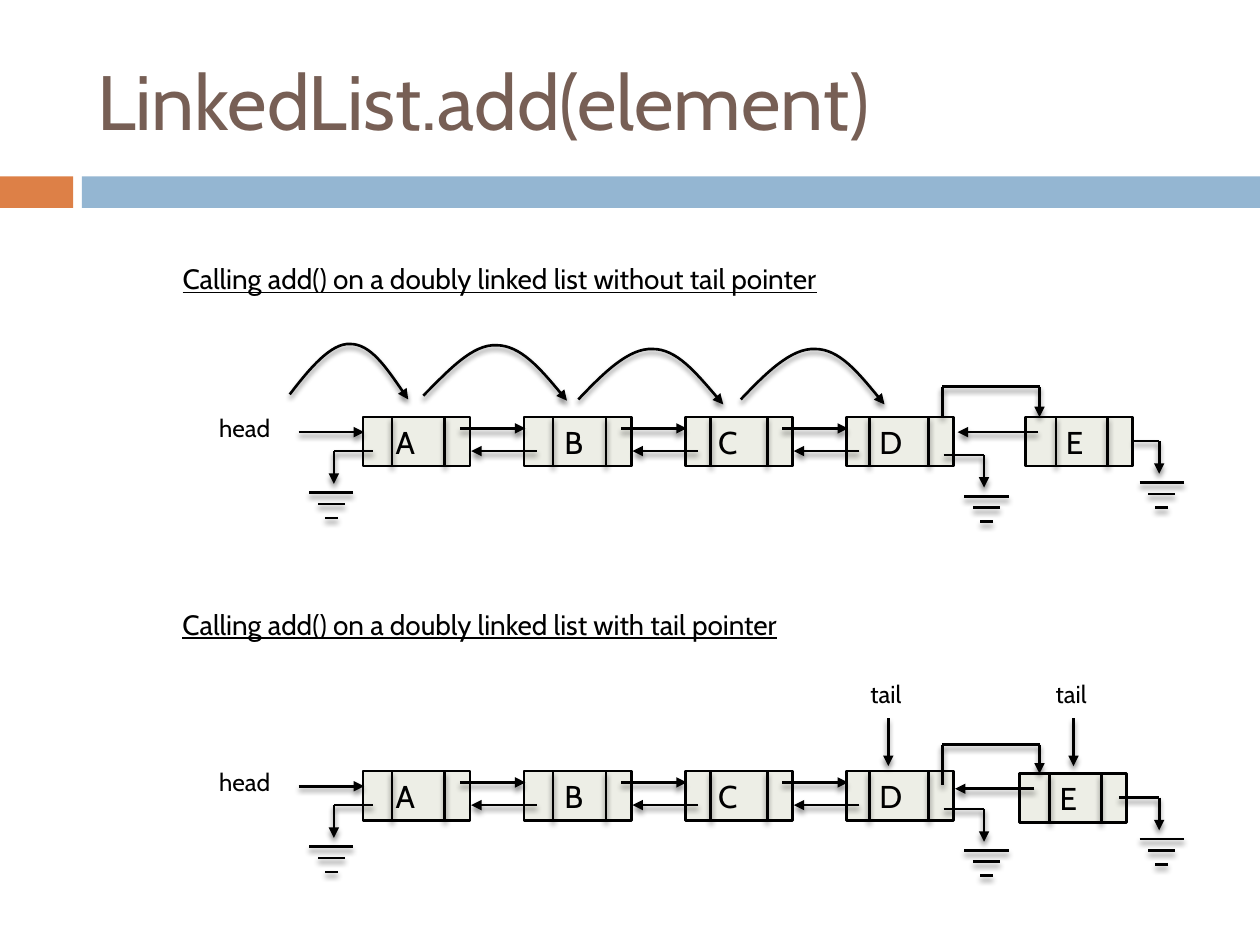
from lxml import etree
from pptx import Presentation
from pptx import util as u
from pptx.dml.color import RGBColor
from pptx.enum import shapes, text
from pptx.oxml.ns import qn

FONT = "Cabin"
BLACK = "000000"
NODE_WIDTH, NODE_HEIGHT = 0.85, 0.39
FIRST_LEFT, NODE_STEP = 2.88, 1.28
# letter, offset of the left divider, indent of the letter
NODES = [("A", 0.23, 0.26), ("B", 0.23, 0.32), ("C", 0.2, 0.26), ("D", 0.18, 0.26)]
HOPS = [
    [(2.3, 3.13), (2.46, 2.92), (2.63, 2.72), (2.78, 2.73), (2.94, 2.73), (3.09, 2.95), (3.24, 3.17)],
    [(3.36, 3.14), (3.56, 2.94), (3.75, 2.73), (3.94, 2.74), (4.13, 2.74), (4.32, 2.96), (4.5, 3.18)],
    [(4.59, 3.17), (4.79, 2.96), (4.99, 2.76), (5.18, 2.77), (5.37, 2.77), (5.55, 2.99), (5.74, 3.21)],
    [(5.88, 3.17), (6.08, 2.96), (6.28, 2.76), (6.47, 2.77), (6.66, 2.77), (6.84, 2.99), (7.02, 3.21)],
]


def colour(value):
    return RGBColor.from_string(value)


def style_stroke(shape, arrow):
    """Black line with a soft shadow below and, if wanted, an arrowhead at its end."""
    shape.line.color.rgb = colour(BLACK)
    shape.line.width = u.Pt(1.5)
    properties = shape._element.spPr
    if arrow:
        etree.SubElement(properties.find(qn("a:ln")), qn("a:tailEnd"), type="triangle")
    effects = etree.SubElement(properties, qn("a:effectLst"))
    shadow = etree.SubElement(effects, qn("a:outerShdw"), blurRad=str(u.Pt(3)),
                              dist=str(u.Pt(2.4)), dir="5400000", rotWithShape="0")
    tint = etree.SubElement(shadow, qn("a:srgbClr"), val=BLACK)
    etree.SubElement(tint, qn("a:alpha"), val="45000")


def add_line(slide, x1, y1, x2, y2, arrow=False):
    line = slide.shapes.add_connector(
        shapes.MSO_CONNECTOR.STRAIGHT, *(u.Inches(v) for v in (x1, y1, x2, y2)))
    style_stroke(line, arrow)


def add_curve(slide, points):
    """Arrow along cubic Bezier pieces: a start, then three points for each piece."""
    builder = slide.shapes.build_freeform(
        u.Inches(points[0][0]), u.Inches(points[0][1]))
    builder.add_line_segments([(u.Inches(x), u.Inches(y)) for x, y in points[1:]], close=False)
    curve = builder.convert_to_shape()
    outline = next(curve._element.iter(qn("a:path")))
    steps = outline.findall(qn("a:lnTo"))
    for start in range(0, len(steps), 3):
        bezier = etree.SubElement(outline, qn("a:cubicBezTo"))
        for step in steps[start:start + 3]:
            bezier.append(step[0])
            outline.remove(step)
    curve.fill.background()
    style_stroke(curve, arrow=True)


def add_rectangle(slide, left, top, width, height, fill):
    box = slide.shapes.add_shape(
        shapes.MSO_SHAPE.RECTANGLE, *(u.Inches(v) for v in (left, top, width, height)))
    box.shadow.inherit = False
    box.fill.solid()
    box.fill.fore_color.rgb = colour(fill)
    box.line.fill.background()
    return box


def write(shape, words, size, ink=BLACK):
    para = shape.text_frame.paragraphs[0]
    para.text = words
    para.alignment = text.PP_ALIGN.LEFT
    para.font.name = FONT
    para.font.size = u.Pt(size)
    para.font.color.rgb = colour(ink)
    return para


def add_label(slide, words, left, top, width, height, size=14):
    box = slide.shapes.add_textbox(*(u.Inches(v) for v in (left, top, width, height)))
    box.text_frame.word_wrap = False
    return write(box, words, size)


def add_node(slide, letter, left, top, divider, indent):
    box = add_rectangle(slide, left, top, NODE_WIDTH, NODE_HEIGHT, "EDEEE6")
    box.line.color.rgb = colour(BLACK)
    box.line.width = u.Pt(1.5)
    box.text_frame.margin_left = u.Inches(indent)
    box.text_frame.margin_right = 0
    box.text_frame.vertical_anchor = text.MSO_ANCHOR.MIDDLE
    write(box, letter, 18)
    for offset in (divider, 0.65):
        add_line(slide, left + offset, top, left + offset, top + NODE_HEIGHT)


def add_ground(slide, start, y, drop, centre):
    """Null pointer: sideways to drop, down, then three shrinking bars."""
    add_line(slide, start, y, drop, y)
    add_line(slide, drop, y, drop, y + 0.26, arrow=True)
    for width, offset in ((0.35, 0.33), (0.21, 0.42), (0.1, 0.53)):
        add_line(slide, centre - width / 2, y + offset, centre + width / 2, y + offset)


def add_list(slide, top):
    """Nodes A to D with their links, the head pointer and the null at both ends."""
    lefts = [FIRST_LEFT + NODE_STEP * i for i in range(len(NODES))]
    for (letter, divider, indent), left in zip(NODES, lefts):
        add_node(slide, letter, left, top, divider, indent)
    for left in lefts[:-1]:
        add_line(slide, left + 0.77, top + 0.09, left + 1.29, top + 0.09, arrow=True)
        add_line(slide, left + 1.38, top + 0.27, left + 0.86, top + 0.27, arrow=True)
    add_label(slide, "head", 1.64, top - 0.08, 0.62, 0.34)
    add_line(slide, 2.37, top + 0.12, 2.89, top + 0.12, arrow=True)
    add_ground(slide, 2.96, top + 0.27, 2.65, 2.63)
    add_ground(slide, 7.49, top + 0.3, 7.81, 7.83)


def add_new_node(slide, left, top, link_start, link_top, null_start, back):
    """Node E, its links with D and its null; back is (from x, to x, y)."""
    add_node(slide, "E", left, top, 0.24, 0.32)
    add_line(slide, 7.48, link_start, 7.48, link_top)
    add_line(slide, 7.48, link_top, 8.25, link_top)
    add_line(slide, 8.25, link_top, 8.25, top, arrow=True)
    add_ground(slide, null_start, top + 0.19, 9.2, 9.22)
    start, end, y = back
    add_line(slide, start, y, end, y, arrow=True)


def add_tail(slide, left):
    add_label(slide, "tail", left, 5.34, 0.46, 0.34)
    add_line(slide, left + 0.24, 5.7, left + 0.24, 6.08, arrow=True)


def main():
    deck = Presentation()
    deck.slide_width, deck.slide_height = u.Inches(10), u.Inches(7.5)
    slide = deck.slides.add_slide(deck.slide_layouts[5])

    add_rectangle(slide, 0, 1.4, 0.58, 0.25, "DD8047")
    add_rectangle(slide, 0.65, 1.4, 9.35, 0.25, "94B6D2")
    title = slide.shapes.title
    title.left, title.top = u.Inches(0.67), u.Inches(0.25)
    title.width, title.height = u.Inches(8.92), u.Inches(1.08)
    title.text_frame.vertical_anchor = text.MSO_ANCHOR.MIDDLE
    write(title, "LinkedList.add(element)", 44, "775F55")

    for kind, top, width in (("without", 2.03, 5.31), ("with", 4.77, 5.1)):
        heading = add_label(slide, f"Calling add() on a doubly linked list {kind} tail pointer",
                            1.35, top, width, 0.37, size=16)
        heading.font.underline = True

    for points in HOPS:
        add_curve(slide, points)
    add_list(slide, 3.31)
    add_new_node(slide, 8.14, 3.31, link_start=3.31, link_top=3.07,
                 null_start=8.99, back=(8.24, 7.6, 3.43))

    add_list(slide, 6.12)
    add_new_node(slide, 8.09, 6.14, link_start=6.23, link_top=5.91,
                 null_start=8.88, back=(8.21, 7.58, 6.26))
    for left in (6.81, 8.28):
        add_tail(slide, left)

    deck.save("out.pptx")


if __name__ == "__main__":
    main()
